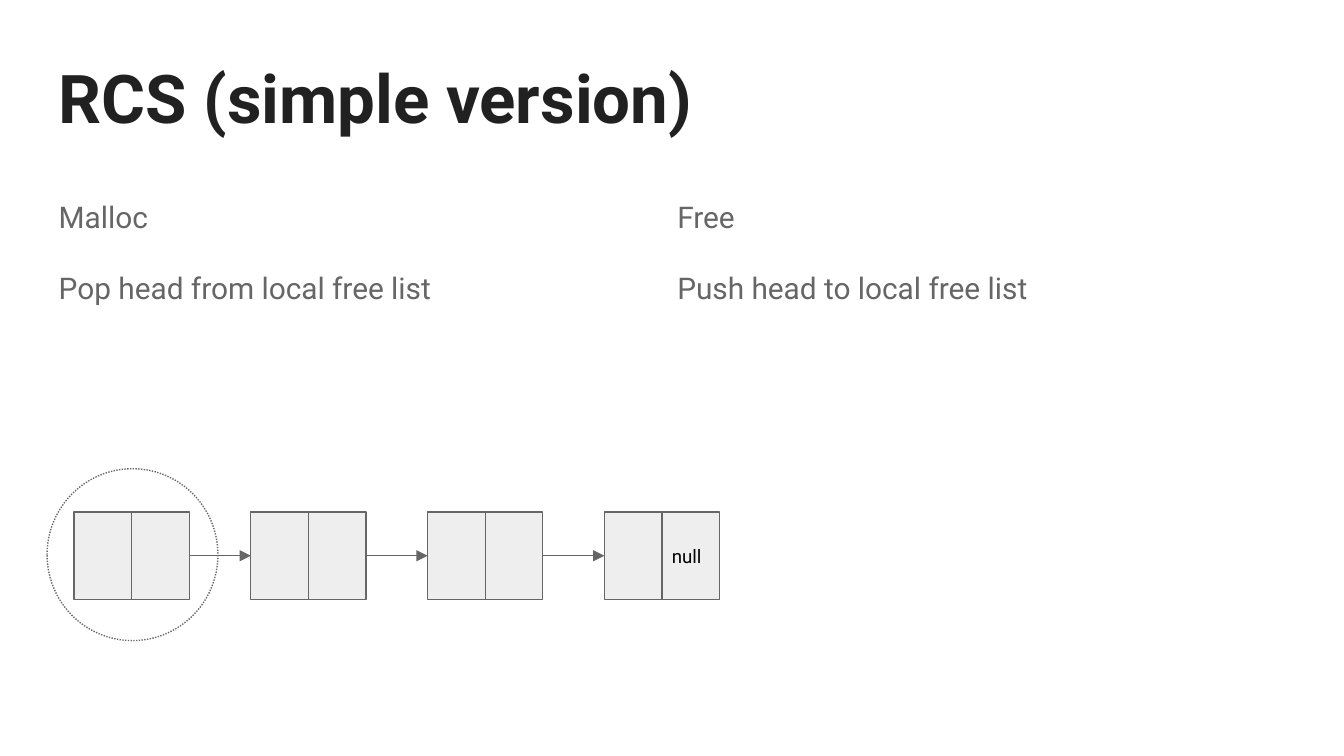
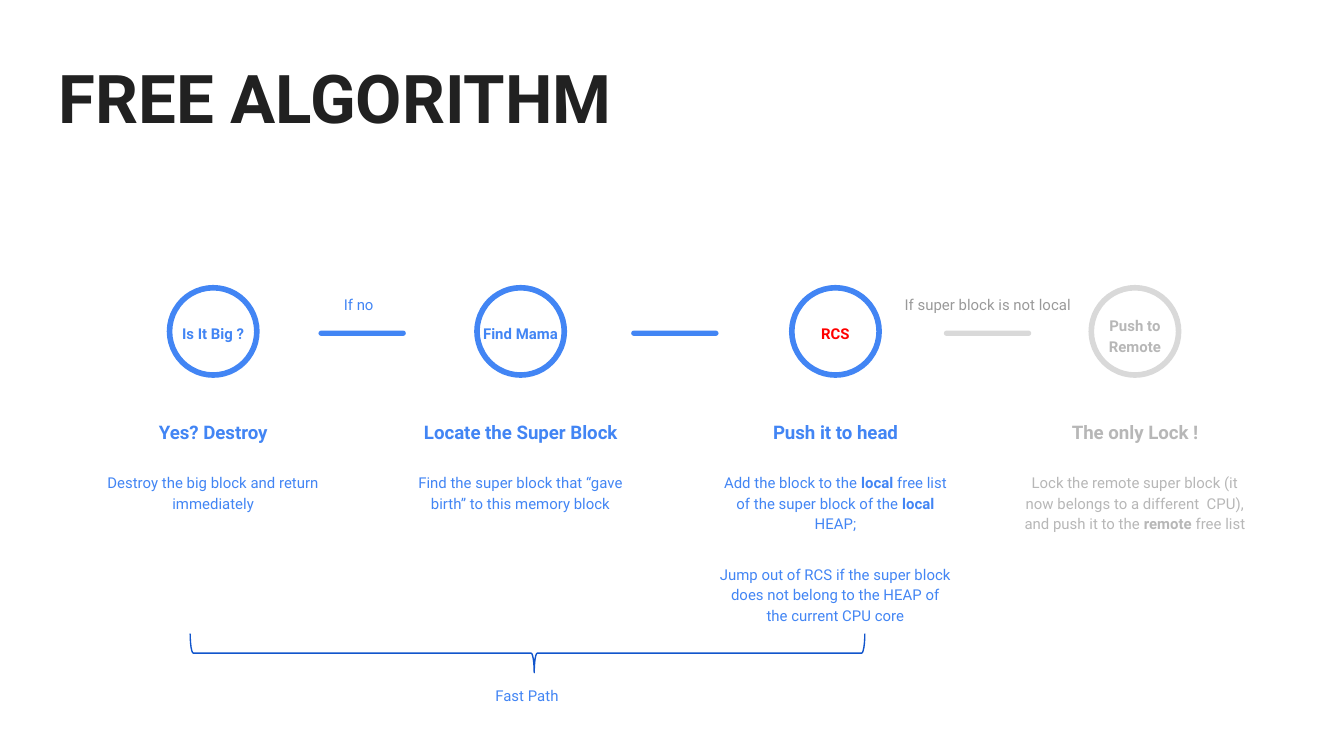
"""Build two slides on a memory allocator: the simple RCS free list and the free algorithm."""
import lxml.etree
import pptx
import pptx.dml.color
import pptx.enum.dml
import pptx.enum.shapes
import pptx.enum.text
import pptx.oxml.ns
import pptx.util

Cm, Pt = pptx.util.Cm, pptx.util.Pt
RGBColor = pptx.dml.color.RGBColor
SHAPE = pptx.enum.shapes.MSO_SHAPE
STRAIGHT = pptx.enum.shapes.MSO_CONNECTOR.STRAIGHT
ALIGN = pptx.enum.text.PP_ALIGN
ANCHOR = pptx.enum.text.MSO_ANCHOR
qn = pptx.oxml.ns.qn

FONT = "Roboto"
INK = RGBColor(0x21, 0x21, 0x21)
BLACK = RGBColor(0, 0, 0)
GREY = RGBColor(0x66, 0x66, 0x66)
CELL = RGBColor(0xEE, 0xEE, 0xEE)
BLUE = RGBColor(0x42, 0x85, 0xF4)
NAVY = RGBColor(0x11, 0x55, 0xCC)
RED = RGBColor(0xFF, 0, 0)
PALE = RGBColor(0xD9, 0xD9, 0xD9)
FADED = RGBColor(0xB7, 0xB7, 0xB7)
NOTE = RGBColor(0x99, 0x99, 0x99)

COLUMNS = [
    (0.86, ["Malloc", "Pop head from local free list"]),
    (12.55, ["Free", "Push head to local free list"]),
]
NODES = ["", "", "", "null"]
STEPS = [
    dict(center=4.03, label="Is It Big ?", heading="Yes? Destroy",
         body=["Destroy the big block and return immediately"]),
    dict(center=9.84, label="Find Mama", heading="Locate the Super Block",
         body=["Find the super block that “gave birth” to this memory block"]),
    dict(center=15.79, label="RCS", label_color=RED, heading="Push it to head",
         body=["Add the block to the *local* free list of the super block of the *local* HEAP;",
               "Jump out of RCS if the super block does not belong to the HEAP of the current CPU core"]),
    dict(center=21.45, label="Push to Remote", label_box=(5.69, 2.44), heading="The only Lock !",
         body=["Lock the remote super block (it now belongs to a different  CPU), "
               "and push it to the *remote* free list"],
         body_width=4.75, ring=PALE, color=FADED),
]
BARS = [BLUE, BLUE, PALE]
CAPTIONS = [
    (4.34, 5.28, "If no", BLUE),
    (16.23, 5.28, "If super block is not local", NOTE),
    (7.52, 12.67, "Fast Path", BLUE),
]


def assign(obj, **values):
    for name, value in values.items():
        setattr(obj, name, value)


def place(shape, left, top, width, height):
    assign(shape, left=Cm(left), top=Cm(top), width=Cm(width), height=Cm(height))


def write(shape, paragraphs, size, color, bold=False, align=ALIGN.LEFT,
          anchor=ANCHOR.TOP, spacing=1.15, after=16, indent=0, left_inset=0.25):
    tf = shape.text_frame
    assign(tf, word_wrap=True, auto_size=pptx.enum.text.MSO_AUTO_SIZE.NONE,
           vertical_anchor=anchor, margin_left=Cm(left_inset), margin_right=Cm(0.25),
           margin_top=Cm(0.25), margin_bottom=Cm(0.25))
    for i, text in enumerate(paragraphs):
        p = tf.add_paragraph() if i else tf.paragraphs[0]
        assign(p, alignment=align, line_spacing=spacing,
               space_before=Pt(0), space_after=Pt(after))
        pPr = p._p.get_or_add_pPr()
        pPr.set("marL", "0")
        pPr.set("indent", str(int(Cm(indent))))
        lxml.etree.SubElement(pPr, qn("a:buNone"))
        for j, part in enumerate(text.split("*")):
            r = p.add_run()
            r.text = part
            assign(r.font, name=FONT, size=Pt(size), bold=bold or j % 2 == 1)
            r.font.color.rgb = color


def add_text(parent, box, paragraphs, size, color, **fmt):
    s = parent.shapes.add_textbox(*map(Cm, box))
    write(s, paragraphs, size, color, align=ALIGN.CENTER, **fmt)


def add_shape(parent, kind, box, fill=None, line=None, width=0.75):
    s = parent.shapes.add_shape(kind, *map(Cm, box))
    s.shadow.inherit = False
    if fill is None:
        s.fill.background()
    else:
        s.fill.solid()
        s.fill.fore_color.rgb = fill
    if line is None:
        s.line.fill.background()
    else:
        s.line.color.rgb = line
        s.line.width = Pt(width)
    return s


def connect(slide, start, start_site, end, end_site, arrow=False):
    c = slide.shapes.add_connector(STRAIGHT, 0, 0, 0, 0)
    c.begin_connect(start, start_site)
    c.end_connect(end, end_site)
    c.line.color.rgb = GREY
    c.line.width = Pt(0.75)
    spPr = c._element.spPr
    if arrow:
        lxml.etree.SubElement(spPr.find(qn("a:ln")), qn("a:tailEnd"), type="triangle")
    lxml.etree.SubElement(spPr, qn("a:effectLst"))


def new_slide(prs, layout, title):
    slide = prs.slides.add_slide(prs.slide_layouts[layout])
    place(slide.shapes.title, 0.86, 0.81, 23.67, 2.24)
    write(slide.shapes.title, [title], 36, INK, bold=True, spacing=1.0, after=0)
    return slide


def build_list_slide(prs):
    slide = new_slide(prs, 3, "RCS (simple version)")
    for idx, (left, lines) in enumerate(COLUMNS, 1):
        body = slide.placeholders[idx]
        place(body, left, 3.4, 11.73, 9.27)
        write(body, lines, 16, GREY)
    previous = None
    for i, text in enumerate(NODES):
        node = add_shape(slide, SHAPE.RECTANGLE, (1.4 + 3.34 * i, 9.68, 2.18, 1.65), CELL, GREY)
        if text:
            write(node, [text], 10, BLACK, anchor=ANCHOR.MIDDLE, spacing=1.0, after=0,
                  left_inset=1.28)
        connect(slide, node, 0, node, 2)
        if previous is not None:
            connect(slide, previous, 3, node, 1, arrow=True)
        previous = node
    head = add_shape(slide, SHAPE.OVAL, (0.89, 8.86, 3.23, 3.25), line=GREY)
    head.line.dash_style = pptx.enum.dml.MSO_LINE.ROUND_DOT


def add_step(slide, center, label, heading, body, label_color=None, label_box=(5.84, 2.06),
             body_width=4.88, ring=BLUE, color=BLUE):
    def centered(top, width, height):
        return center - width / 2, top, width, height

    group = slide.shapes.add_group_shape()
    label_top, label_width = label_box
    add_shape(group, SHAPE.OVAL, centered(5.44, 1.65, 1.65), line=ring, width=3)
    add_text(group, centered(label_top, label_width, 0.89), [label], 8, label_color or color,
             bold=True, indent=-0.2)
    add_text(group, centered(7.39, 4.75, 1.24), [heading], 10, color,
             bold=True, anchor=ANCHOR.BOTTOM, after=0)
    add_text(group, centered(8.66, body_width, 2.06), body, 8, color)


def build_algorithm_slide(prs):
    slide = new_slide(prs, 5, "FREE ALGORITHM")
    for i, color in enumerate(BARS):
        bar = add_shape(slide, SHAPE.ROUNDED_RECTANGLE, (6.02 + 5.91 * i, 6.25, 1.65, 0.1), color)
        bar.adjustments[0] = 0.5
    for step in STEPS:
        add_step(slide, **step)
    brace = add_shape(slide, SHAPE.LEFT_BRACE, (9.6, 5.97, 0.74, 12.75), line=NAVY)
    brace.rotation = 270
    brace.adjustments[0] = 0.08
    brace.adjustments[1] = 0.51
    for left, top, text, color in CAPTIONS:
        add_text(slide, (left, top, 4.88, 2.06), [text], 8, color)


def main():
    prs = pptx.Presentation()
    assign(prs, slide_width=Cm(25.4), slide_height=Cm(14.29))
    build_list_slide(prs)
    build_algorithm_slide(prs)
    prs.save("out.pptx")


if __name__ == "__main__":
    main()
